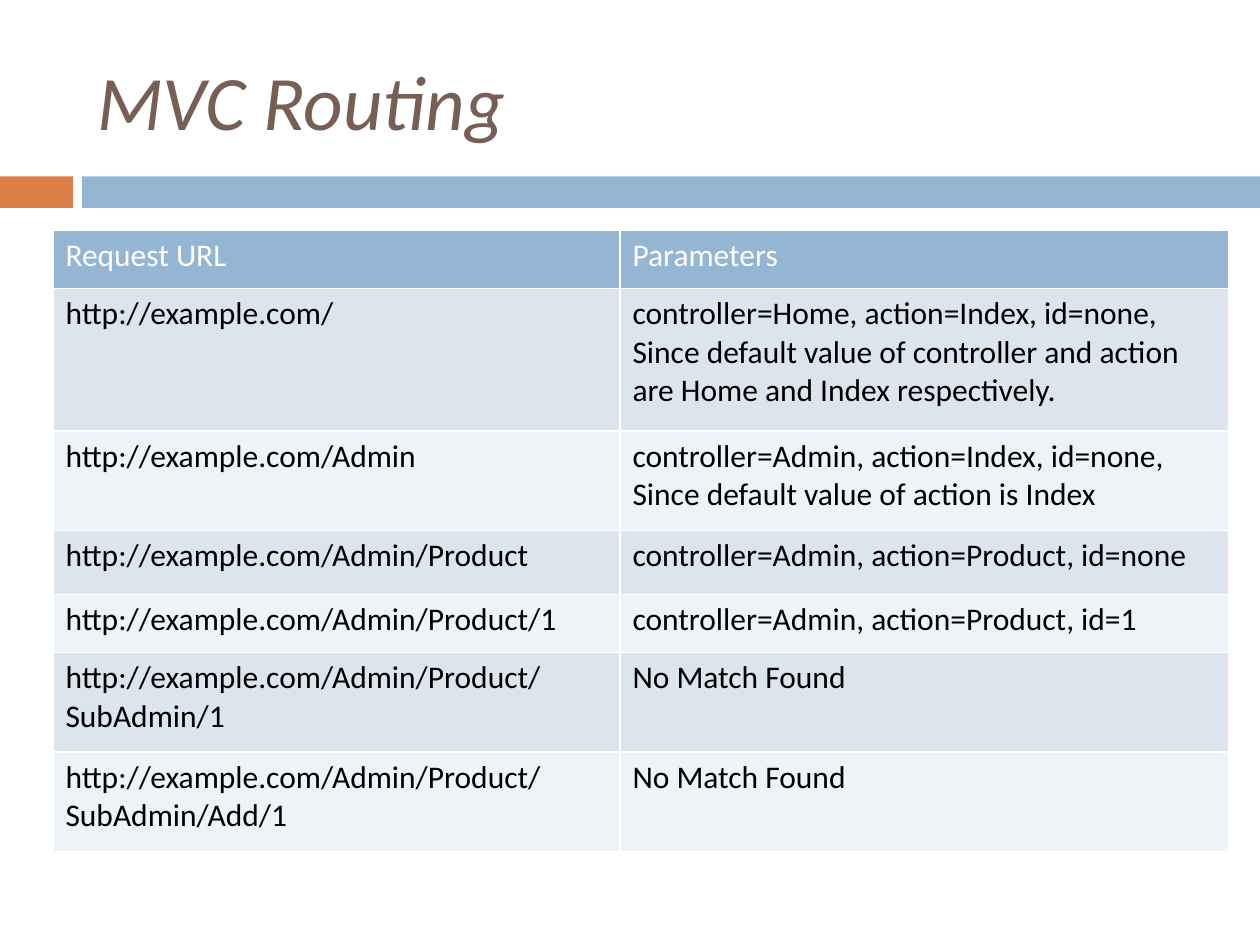
from pptx import Presentation
from pptx.dml.color import RGBColor
from pptx.enum.shapes import MSO_SHAPE
from pptx.enum.text import MSO_ANCHOR, PP_ALIGN
from pptx.util import Inches, Pt

# Content
TITLE = "MVC Routing"
SITE = "http://example.com/"
HEADER = ("Request URL", "Parameters")
ROUTES = [  # address after the site, parameters, row height
    ("", "controller=Home, action=Index, id=none, Since default value of "
         "controller and action are Home and Index respectively.", 1.13),
    ("Admin", "controller=Admin, action=Index, id=none, "
              "Since default value of action is Index", 0.79),
    ("Admin/Product", "controller=Admin, action=Product, id=none", 0.51),
    ("Admin/Product/1", "controller=Admin, action=Product, id=1", 0.46),
    ("Admin/Product/SubAdmin/1", "No Match Found", 0.79),
    ("Admin/Product/SubAdmin/Add/1", "No Match Found", 0.79),
]
COLUMN_WIDTHS = (4.5, 4.83)
HEADER_HEIGHT = 0.46
COLORS = {"orange": "DD8047", "blue": "94B6D2", "brown": "775F55",
          "white": "FFFFFF", "black": "000000",
          "odd": "DCE5EE", "even": "EEF3F7"}
BANDS = [(0, 0.58, "orange"), (0.65, 9.35, "blue")]  # left, width, colour
TITLE_FONT = {"name": "Calibri", "size": Pt(44), "italic": True, "bold": False}
CELL_FONT = {"name": "Calibri", "size": Pt(18), "bold": False}


def color(name):
    return RGBColor.from_string(COLORS[name])


def paint(part, name):
    part.fill.solid()
    part.fill.fore_color.rgb = color(name)


def write(frame, text, font_values, color_name):
    frame.text = text
    paragraph = frame.paragraphs[0]
    paragraph.alignment = PP_ALIGN.LEFT
    font = paragraph.runs[0].font
    for key, value in font_values.items():
        setattr(font, key, value)
    font.color.rgb = color(color_name)


deck = Presentation()
deck.slide_width, deck.slide_height = Inches(10), Inches(7.5)
slide = deck.slides.add_slide(deck.slide_layouts[5])

# Bands under the title
for left, width, name in BANDS:
    band = slide.shapes.add_shape(MSO_SHAPE.RECTANGLE, Inches(left), Inches(1.4),
                                  Inches(width), Inches(0.25))
    band.shadow.inherit = False
    paint(band, name)
    band.line.fill.background()

# Title
title = slide.shapes.title
title.left, title.top = Inches(0.67), Inches(0.25)
title.width, title.height = Inches(8.92), Inches(1.08)
title.text_frame.vertical_anchor = MSO_ANCHOR.MIDDLE
write(title.text_frame, TITLE, TITLE_FONT, "brown")

# Routing table
rows = [HEADER] + [(SITE + address, parameters) for address, parameters, _ in ROUTES]
heights = [HEADER_HEIGHT] + [height for _, _, height in ROUTES]
routing = slide.shapes.add_table(
    len(rows), len(HEADER), Inches(0.42), Inches(1.83),
    Inches(sum(COLUMN_WIDTHS)), Inches(sum(heights))).table
for column, width in zip(routing.columns, COLUMN_WIDTHS):
    column.width = Inches(width)
for r, (texts, height) in enumerate(zip(rows, heights)):
    routing.rows[r].height = Inches(height)
    if r == 0:
        fill, ink = "blue", "white"
    else:
        fill, ink = ("odd" if r % 2 else "even"), "black"
    for c, text in enumerate(texts):
        cell = routing.cell(r, c)
        paint(cell, fill)
        write(cell.text_frame, text, CELL_FONT, ink)

deck.save("out.pptx")
